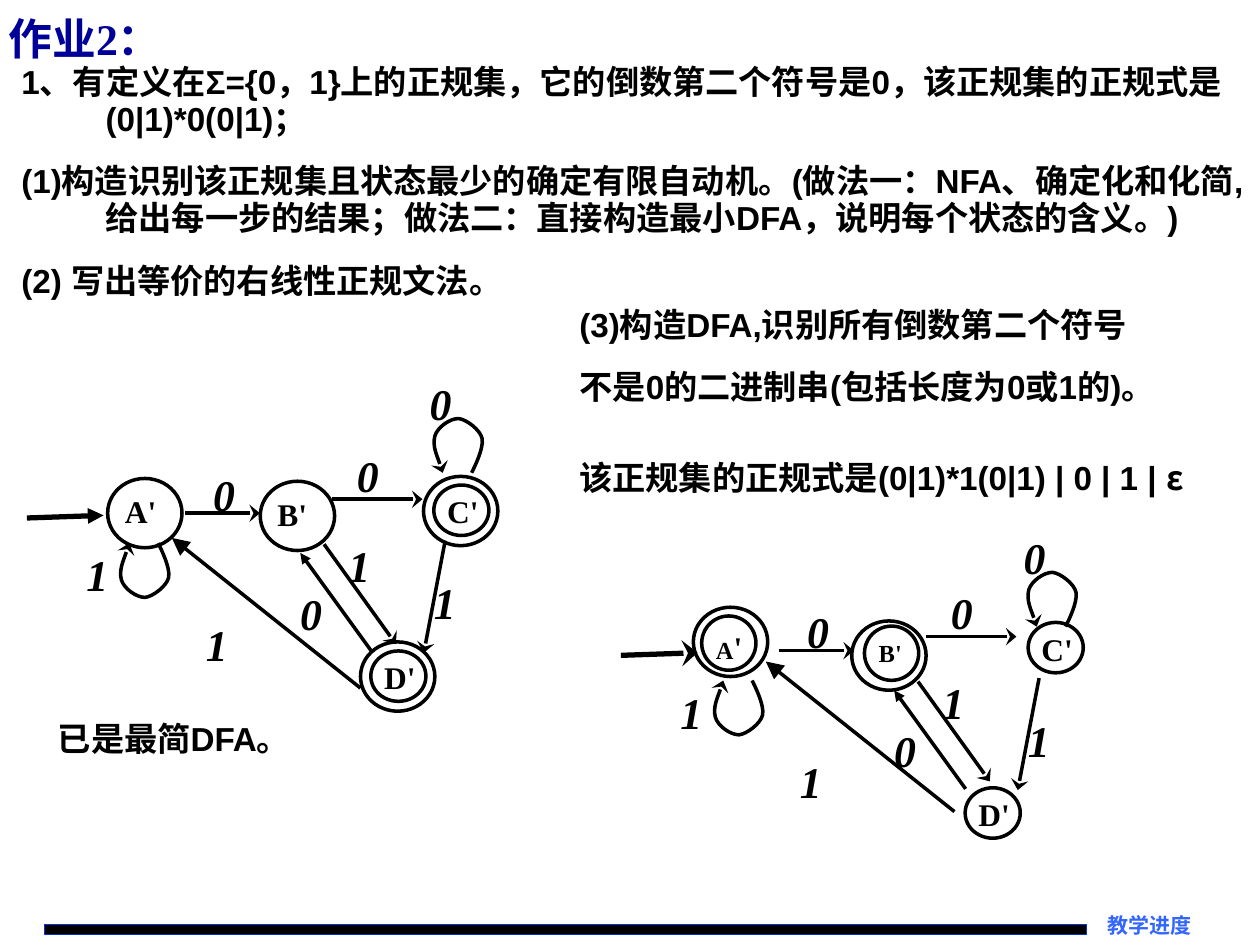
"""Build a homework slide with two finite automata that share one layout."""
from typing import Any, NamedTuple

from lxml import etree
from pptx import Presentation
from pptx.dml.color import RGBColor
from pptx.enum.shapes import MSO_CONNECTOR, MSO_SHAPE
from pptx.enum.text import MSO_ANCHOR, MSO_AUTO_SIZE, PP_ALIGN
from pptx.oxml.ns import qn
from pptx.util import Pt

OVAL, RECT, LINE = MSO_SHAPE.OVAL, MSO_SHAPE.RECTANGLE, MSO_CONNECTOR.STRAIGHT
TOP, MIDDLE, FIXED = MSO_ANCHOR.TOP, MSO_ANCHOR.MIDDLE, MSO_AUTO_SIZE.NONE
LEFT, RIGHT = PP_ALIGN.LEFT, PP_ALIGN.RIGHT
BLACK, WHITE = RGBColor(0, 0, 0), RGBColor(255, 255, 255)
NAVY, BLUE, SKY = RGBColor(0, 0, 0x99), RGBColor(0, 0x33, 0xCC), RGBColor(0x33, 0x66, 0xFF)
ROMAN, SANS, HAN = "Times New Roman", "Arial", "Noto Sans CJK SC"


class Face(NamedTuple):
    font: str
    size: float
    color: RGBColor = BLACK
    italic: bool = False


class Box(NamedTuple):
    x: float
    y: float
    w: float
    h: float


class Node(NamedTuple):
    box: Box
    runs: list[tuple[str, Face]] = []
    inset: tuple[float, ...] = (3, 0, 0.5, 0)


class Head(NamedTuple):
    type: str
    w: str = "med"
    len: str = "med"


BARB, SOLID, LARGE = Head("stealth", "lg"), Head("triangle"), Head("triangle", "lg", "lg")


class Edge(NamedTuple):
    x1: float
    y1: float
    x2: float
    y2: float
    head: Head = BARB
    width: float = 2
    drop: float = 0


class Mark(NamedTuple):
    text: str
    x: float
    y: float
    drop: float = 0


class Loop(NamedTuple):
    x: float
    y: float
    down: bool
    drop: float = 0


TITLE, LIST, GREEK = Face(ROMAN, 25, NAVY), Face(SANS, 19), Face(HAN, 19)
NAME, SMALL = Face(ROMAN, 18), Face(ROMAN, 14)
DIGIT, FOOT = Face(ROMAN, 25, BLACK, True), Face(ROMAN, 12, SKY)
PAD, SLIM, RIM = (7.2, 3.6, 7.2, 3.6), (3.6, 2.2, 3.6, 2.2), (3.6, 2.2, 1.4, 3.6)
PLAIN = {"alignment": LEFT, "space_before": Pt(0), "space_after": Pt(0), "line_spacing": 1.0}
HANG = PLAIN | {"space_after": Pt(14.3), "line_spacing": 0.93}
INDENT = {"marL": str(Pt(48.2)), "indent": str(-Pt(48.2))}
SHIFT = (339.4, 78.5)

EDGES = [Edge(105.8, 293.3, 148.5, 293.3), Edge(190, 285.3, 241.4, 285.3),
         Edge(185.2, 311, 226.2, 368), Edge(254.4, 309, 242.2, 373),
         Edge(212.4, 372.3, 171.6, 316, SOLID),
         Edge(206, 393.2, 98.2, 307.4, LARGE, drop=-7.9)]
MARKS = [Mark("0", 118.2, 265), Mark("0", 242, 213, 9.4), Mark("1", 45.8, 311),
         Mark("0", 200.4, 254), Mark("1", 195.5, 305.6), Mark("1", 244.4, 327),
         Mark("0", 167.9, 333), Mark("1", 114.1, 350.6)]
LOOPS = [Loop(247, 239.2, False, 9.4), Loop(67.9, 310.4, True)]
CURVE = [(22.5, 31), (24, 28), (29.5, 17), (28.5, 11.5), (27.5, 6.5), (19.5, 0.5),
         (15, 0), (10, 0), (3, 5), (1.5, 10), (0, 16), (5, 27), (6, 31)]
FIRST = [Node(Box(148.7, 275, 42.5, 39.6), [("B'", NAME)], RIM),
         Node(Box(242, 272.2, 42.5, 39.6)),
         Node(Box(247.9, 277.2, 31.5, 28.8), [("C'", NAME)]),
         Node(Box(61.5, 273.4, 42.5, 39.6), [("A'", NAME)], RIM),
         Node(Box(206, 366.8, 42.5, 39.6)),
         Node(Box(211.9, 372, 31.5, 28.8), [("D'", NAME)])]
SECOND = [Node(Box(494, 357.8, 31, 31), [("B'", SMALL)], RIM),
          Node(Box(396.2, 347, 42.5, 39.6)),
          Node(Box(587.5, 355.7, 31.5, 28.8), [("C'", NAME)]),
          Node(Box(401, 352, 31, 31), [("A", SMALL), ("'", NAME)], RIM),
          Node(Box(486.7, 354.8, 42.5, 39.6)),
          Node(Box(551.5, 450.2, 31.5, 28.8), [("D'", NAME)])]
TASKS = [
    "1、有定义在Σ={0，1}上的正规集，它的倒数第二个符号是0，该正规集的正规式是(0|1)*0(0|1)；",
    "(1)构造识别该正规集且状态最少的确定有限自动机。(做法一：NFA、确定化和化简,给出每一步的结果；做法二：直接构造最小DFA，说明每个状态的含义。)",
    "(2) 写出等价的右线性正规文法。"]
NOTES = [
    (Box(26, 408.8, 165, 36.7), [[("已是最简DFA。", LIST)]]),
    (Box(324, 172.3, 375, 82), [[("(3)构造DFA,识别所有倒数第二个符号", LIST)],
                                [("不是0的二进制串(包括长度为0或1的)。", LIST)]]),
    (Box(324, 259.8, 375, 34.6),
     [[("该正规集的正规式是(0|1)*1(0|1) | 0 | 1 | ", LIST), ("ε", GREEK)]])]


def place(shape: Any, box: Box) -> None:
    for key, value in zip(("left", "top", "width", "height"), box):
        setattr(shape, key, Pt(value))


def write(shape: Any, paras: list, inset: tuple[float, ...] = (0, 0, 0, 0),
          form: dict = PLAIN, anchor: Any = TOP) -> None:
    frame = shape.text_frame
    frame.auto_size, frame.word_wrap, frame.vertical_anchor = FIXED, True, anchor
    for side, value in zip(("left", "top", "right", "bottom"), inset):
        setattr(frame, f"margin_{side}", Pt(value))
    for index, runs in enumerate(paras):
        para = frame.add_paragraph() if index else frame.paragraphs[0]
        for key, value in form.items():
            setattr(para, key, value)
        if form is HANG:
            props = para._p.get_or_add_pPr()
            props.attrib.update(INDENT)
            etree.SubElement(props, qn("a:buNone"))
        for text, face in runs:
            run = para.add_run()
            run.text = text
            looks = {"name": face.font, "size": Pt(face.size), "bold": True, "italic": face.italic}
            for key, value in looks.items():
                setattr(run.font, key, value)
            run.font.color.rgb = face.color
            etree.SubElement(run._r.get_or_add_rPr(), qn("a:ea"), typeface=HAN)


def fill(shape: Any, color: RGBColor) -> None:
    shape.fill.solid()
    shape.fill.fore_color.rgb = color


def stroke(shape: Any, width: float = 2, head: Head | None = None) -> None:
    shape.line.color.rgb = BLACK
    shape.line.width = Pt(width)
    if head:
        line = shape.element.spPr.find(qn("a:ln"))
        etree.SubElement(line, qn("a:tailEnd"), head._asdict())


def draw_node(shapes: Any, node: Node) -> None:
    oval = shapes.add_shape(OVAL, *map(Pt, node.box))
    oval.shadow.inherit = False
    oval.fill.background()
    stroke(oval)
    if node.runs:
        write(oval, [node.runs], node.inset)


def draw_edge(shapes: Any, edge: Edge, dx: float, dy: float) -> None:
    ends = (edge.x1 + dx, edge.y1 + dy, edge.x2 + dx, edge.y2 + dy)
    line = shapes.add_connector(LINE, *map(Pt, ends))
    stroke(line, edge.width, edge.head)
    etree.SubElement(line.element.spPr, qn("a:effectLst"))


def draw_loop(shapes: Any, loop: Loop, dx: float, dy: float) -> None:
    knots = [(Pt(loop.x + dx + x), Pt(loop.y + dy + (31 - y if loop.down else y)))
             for x, y in CURVE]
    pen = shapes.build_freeform(*knots[0])
    pen.add_line_segments(knots[1:], close=False)
    curve = pen.convert_to_shape()
    curve.shadow.inherit = False
    curve.fill.background()
    stroke(curve, head=BARB)
    trace = next(curve.element.iter(qn("a:pathLst")))[0]
    legs = trace.findall(qn("a:lnTo"))
    for start in range(0, len(legs), 3):
        bend = etree.SubElement(trace, qn("a:cubicBezTo"))
        for leg in legs[start:start + 3]:
            bend.append(leg[0])
            trace.remove(leg)


def draw_graph(shapes: Any, nodes: list[Node], head: Head,
               dx: float = 0, dy: float = 0, drop: int = 0) -> None:
    for node in nodes:
        draw_node(shapes, node)
    for edge in [Edge(15.4, 296, 59.2, 294.5, head, 3), *EDGES]:
        draw_edge(shapes, edge, dx, dy + drop * edge.drop)
    for loop in LOOPS:
        draw_loop(shapes, loop, dx, dy + drop * loop.drop)
    for mark in MARKS:
        y = mark.y + dy + drop * mark.drop
        label = shapes.add_textbox(Pt(mark.x + dx), Pt(y), Pt(30), Pt(31.7))
        write(label, [[(mark.text, DIGIT)]], SLIM)


def main() -> None:
    deck = Presentation()
    deck.slide_width, deck.slide_height = Pt(720), Pt(540)
    slide = deck.slides.add_slide(deck.slide_layouts[1])
    shapes = slide.shapes
    bar = shapes.add_shape(RECT, Pt(25.6), Pt(528.1), Pt(595.2), Pt(5.8))
    bar.shadow.inherit = False
    fill(bar, BLACK)
    stroke(bar, 0.75)
    bar.line.color.rgb = BLUE
    foot = shapes.add_textbox(Pt(620.9), Pt(521.3), Pt(59.8), Pt(15))
    write(foot, [[("教学进度", FOOT)]], form=PLAIN | {"alignment": RIGHT})
    title, body = shapes.title, slide.placeholders[1]
    place(title, Box(5, 2.4, 705.6, 38.9))
    write(title, [[("作业2：", TITLE)]], anchor=MIDDLE)
    place(body, Box(5, 33.5, 712.5, 181.4))
    write(body, [[(task, LIST)] for task in TASKS], PAD, HANG)
    for shape in (title, body):
        fill(shape, WHITE)
    draw_graph(shapes, FIRST, SOLID)
    for box, paras in NOTES:
        note = shapes.add_textbox(*map(Pt, box))
        fill(note, WHITE)
        write(note, paras, PAD, HANG)
    draw_graph(shapes, SECOND, BARB, *SHIFT, drop=1)
    deck.save("out.pptx")


if __name__ == "__main__":
    main()
